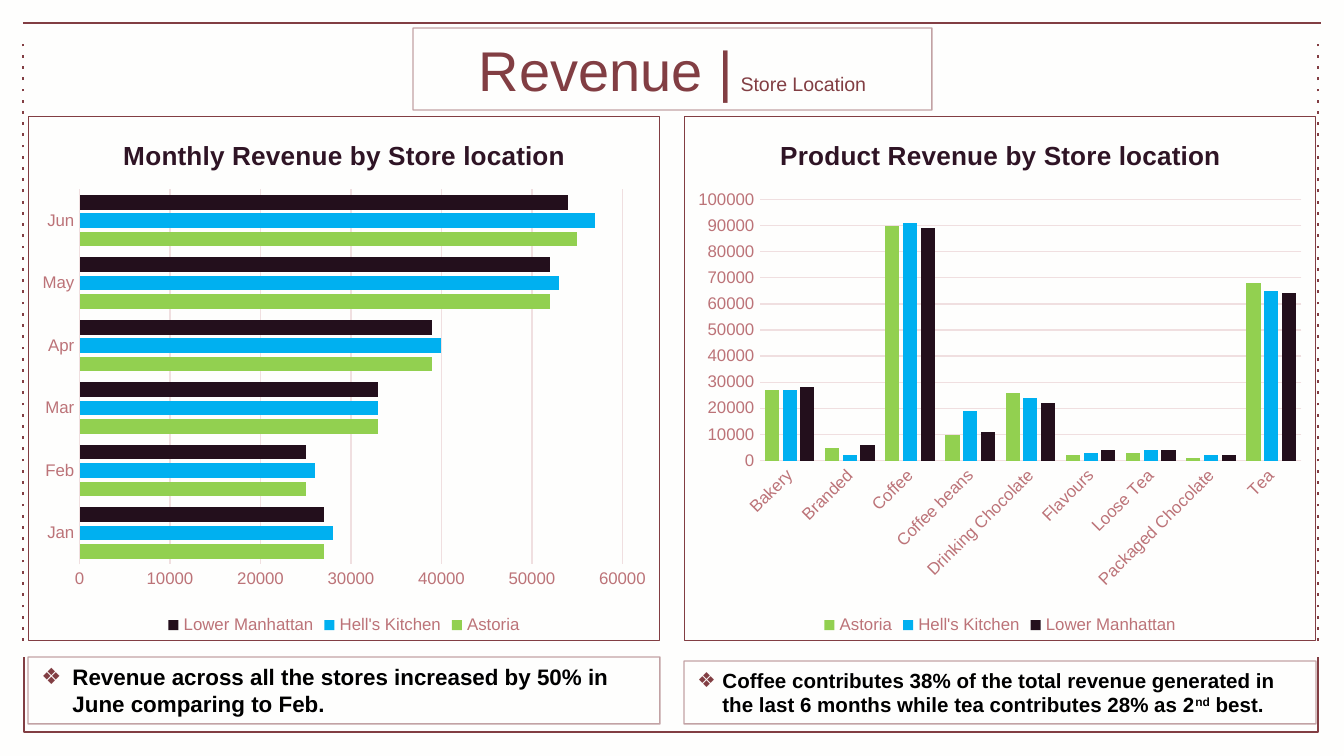
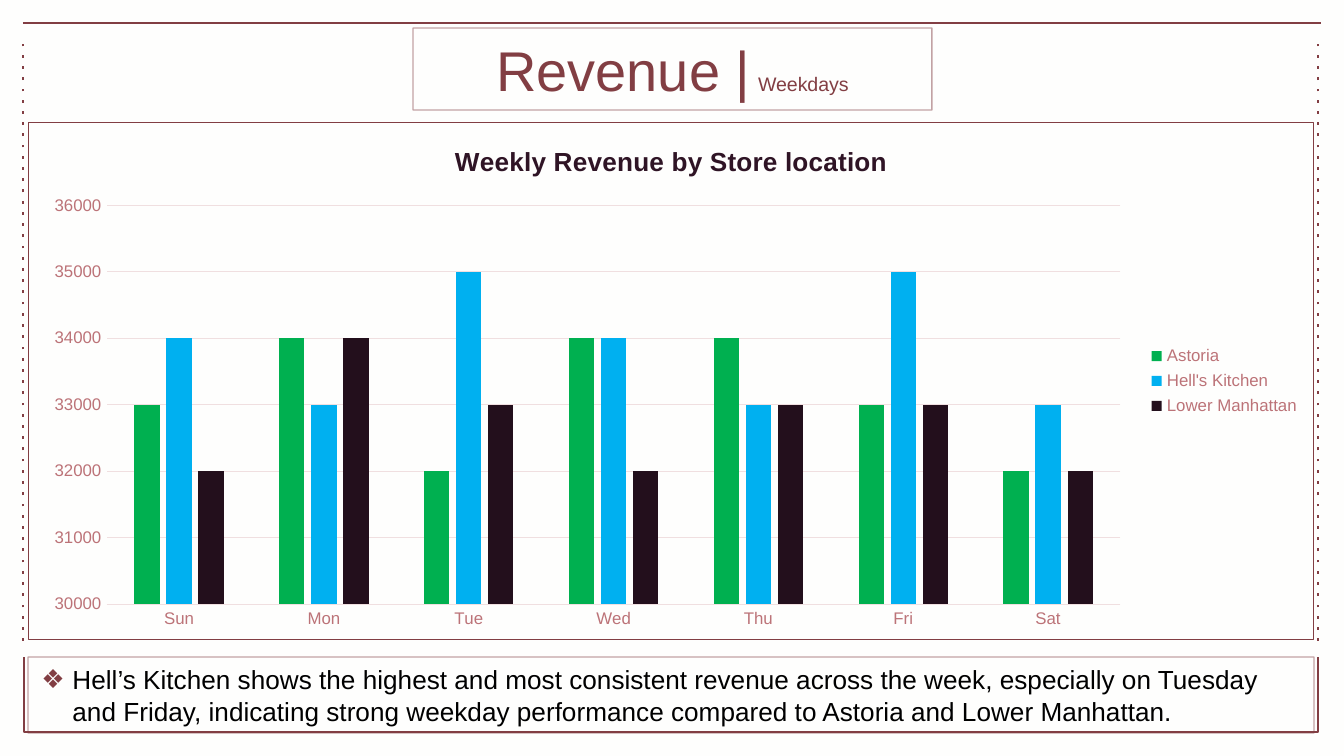
"""Builds two slides on store revenue by location and by weekday."""
from lxml import etree
from pptx import Presentation
from pptx import util as u
from pptx.chart.data import CategoryChartData
from pptx.dml.color import RGBColor
from pptx.enum import chart as charts, shapes, text
from pptx.oxml import parse_xml
from pptx.oxml.ns import nsdecls, qn

PX = 914400 / 134.4
WINE, ROSE, BLUSH, PLUM = "823E43", "BC7378", "F0DFE0", "2F1425"
CREAM, BLACK, FONT = "F9F0E8", "000000", "Arial"
LIME, GREEN, SKY, NIGHT = "92D050", "00B050", "00B0F0", "230F1C"
STORES = ["Astoria", "Hell's Kitchen", "Lower Manhattan"]
FRAME_LINES = [(23, 23, 1321, 23, False), (23, 641, 23, 40, True), (1318, 641, 1318, 40, True)]
BAR, COLUMN = charts.XL_CHART_TYPE.BAR_CLUSTERED, charts.XL_CHART_TYPE.COLUMN_CLUSTERED
BOTTOM, RIGHT = charts.XL_LEGEND_POSITION.BOTTOM, charts.XL_LEGEND_POSITION.RIGHT

SLIDES = [
    {
        "layout": 3,
        "subtitle": "Store Location",
        "notes": [
            {"box": (28, 657, 632, 67), "size": 12, "bold": True, "indent": 31,
             "runs": ["Revenue across all the stores increased by 50% in June comparing to Feb."]},
            {"box": (684, 661, 632, 63), "size": 11, "bold": True, "indent": 25,
             "runs": ["Coffee contributes 38% of the total revenue generated in the last 6 months "
                      "while tea contributes 28% as 2", "nd", " best."]},
        ],
        "charts": [
            {"title": "Monthly Revenue by Store location", "type": BAR,
             "box": (28, 116, 632, 525), "title_at": (118, 133), "plot": (79, 189, 544, 376),
             "scale": (0, 60000, 10000), "gap": 75, "overlap": -25, "legend": BOTTOM,
             "rotation": 0, "colors": [LIME, SKY, NIGHT],
             "categories": ["Jan", "Feb", "Mar", "Apr", "May", "Jun"],
             "values": [[27000, 25000, 33000, 39000, 52000, 55000],
                        [28000, 26000, 33000, 40000, 53000, 57000],
                        [27000, 25000, 33000, 39000, 52000, 54000]]},
            {"title": "Product Revenue by Store location", "type": COLUMN,
             "box": (684, 116, 632, 525), "title_at": (775, 133), "plot": (759, 199, 543, 262),
             "scale": (0, 100000, 10000), "gap": 75, "overlap": -25, "legend": BOTTOM,
             "rotation": -45, "colors": [LIME, SKY, NIGHT],
             "categories": ["Bakery", "Branded", "Coffee", "Coffee beans", "Drinking Chocolate",
                            "Flavours", "Loose Tea", "Packaged Chocolate", "Tea"],
             "values": [[27000, 5000, 90000, 10000, 26000, 2000, 3000, 1000, 68000],
                        [27000, 2000, 91000, 19000, 24000, 3000, 4000, 2000, 65000],
                        [28000, 6000, 89000, 11000, 22000, 4000, 4000, 2000, 64000]]},
        ],
    },
    {
        "layout": 1,
        "subtitle": "Weekdays",
        "notes": [
            {"box": (28, 657, 1286, 76), "size": 14, "bold": False, "indent": 31,
             "runs": ["Hell’s Kitchen shows the highest and most consistent revenue across the week, "
                      "especially on Tuesday and Friday, indicating strong weekday performance "
                      "compared to Astoria and Lower Manhattan."]},
        ],
        "charts": [
            {"title": "Weekly Revenue by Store location", "type": COLUMN,
             "box": (28, 122, 1286, 518), "title_at": (450, 139), "plot": (106, 205, 1015, 400),
             "scale": (30000, 36000, 1000), "gap": 219, "overlap": -27, "legend": RIGHT,
             "rotation": 0, "colors": [GREEN, SKY, NIGHT],
             "categories": ["Sun", "Mon", "Tue", "Wed", "Thu", "Fri", "Sat"],
             "values": [[33000, 34000, 32000, 34000, 34000, 33000, 32000],
                        [34000, 33000, 35000, 34000, 33000, 35000, 33000],
                        [32000, 34000, 33000, 32000, 33000, 33000, 32000]]},
        ],
    },
]


def px(*lengths):
    return [round(length * PX) for length in lengths]


def paint(fill, color):
    fill.solid()
    fill.fore_color.rgb = RGBColor.from_string(color)


presentation = Presentation()
presentation.slide_width, presentation.slide_height = px(1344, 756)

for content in SLIDES:
    slide = presentation.slides.add_slide(presentation.slide_layouts[content["layout"]])
    paint(slide.background.fill, CREAM)
    translucent = [(slide._element.cSld.bg, 5)]

    for *ends, dotted in FRAME_LINES:
        connector = slide.shapes.add_connector(shapes.MSO_CONNECTOR.STRAIGHT, *px(*ends))
        connector.line.width = u.Pt(1.5)
        paint(connector.line.fill, WINE)
        if dotted:
            etree.SubElement(connector.line._ln, qn("a:prstDash"), val="dot")
        etree.SubElement(connector._element.spPr, qn("a:effectLst"))
    builder = slide.shapes.build_freeform(24, 657, scale=PX)
    builder.add_line_segments([(24, 732), (1318, 732), (1318, 657)], close=False)
    bracket = builder.convert_to_shape()
    bracket.shadow.inherit = False
    bracket.fill.background()
    bracket.line.width = u.Pt(1.5)
    paint(bracket.line.fill, WINE)

    title, *bodies = slide.placeholders
    boxes = [(413, 28, 519, 82)] + [note["box"] for note in content["notes"]]
    for shape, box in zip([title, *bodies], boxes):
        shape.left, shape.top, shape.width, shape.height = px(*box)
        shape.line.width = u.Pt(0.75)
        paint(shape.line.fill, WINE)
        translucent.append((shape._element.spPr, 48 if shape is title else 47))
        shape.text_frame.word_wrap = True
        shape.text_frame.auto_size = text.MSO_AUTO_SIZE.NONE
        shape.text_frame.vertical_anchor = text.MSO_ANCHOR.MIDDLE
    for element, opacity in translucent:
        color = next(element.iter(qn("a:srgbClr")))
        etree.SubElement(color, qn("a:alpha"), val=str(opacity * 1000))

    paragraph = title.text_frame.paragraphs[0]
    paragraph.alignment = text.PP_ALIGN.CENTER
    paragraph.font.name = FONT
    paint(paragraph.font.fill, WINE)
    for words, size in [("Revenue |", 30), (" ", 15), (content["subtitle"], 10.5)]:
        run = paragraph.add_run()
        run.text = words
        run.font.size = u.Pt(size)

    for body, note in zip(bodies, content["notes"]):
        paragraph = body.text_frame.paragraphs[0]
        paragraph.space_before = u.Pt(0)
        properties = paragraph._p.get_or_add_pPr()
        indent, = px(note["indent"])
        properties.set("marL", str(indent))
        properties.set("indent", str(-indent))
        bullet_color = etree.SubElement(properties, qn("a:buClr"))
        etree.SubElement(bullet_color, qn("a:srgbClr"), val=WINE)
        etree.SubElement(properties, qn("a:buFont"), typeface=FONT)
        etree.SubElement(properties, qn("a:buChar"), char="❖")
        paragraph.font.name = FONT
        paragraph.font.size = u.Pt(note["size"])
        paragraph.font.bold = note["bold"]
        paint(paragraph.font.fill, BLACK)
        for words in note["runs"]:
            run = paragraph.add_run()
            run.text = words
            if words == "nd":
                run.font._element.set("baseline", "30000")

    for plan in content["charts"]:
        data = CategoryChartData()
        data.categories = plan["categories"]
        for store, values in zip(STORES, plan["values"]):
            data.add_series(store, values)
        chart = slide.shapes.add_chart(plan["type"], *px(*plan["box"]), data).chart
        chart.font.name = FONT
        chart.font.size = u.Pt(10)
        paint(chart.font.fill, WINE)
        chart._chartSpace.txPr.addprevious(parse_xml(
            f'<c:spPr {nsdecls("c", "a")}><a:noFill/><a:ln w="9525"><a:solidFill>'
            f'<a:srgbClr val="{WINE}"/></a:solidFill></a:ln></c:spPr>'))

        paragraph = chart.chart_title.text_frame.paragraphs[0]
        paragraph.add_run().text = plan["title"]
        paragraph.font.name = FONT
        paragraph.font.size = u.Pt(14)
        paragraph.font.bold = True
        paint(paragraph.font.fill, PLUM)

        plot = chart.plots[0]
        plot.vary_by_categories = False
        plot.gap_width = plan["gap"]
        plot.overlap = plan["overlap"]
        for series, color in zip(plot.series, plan["colors"]):
            paint(series.format.fill, color)
            series.invert_if_negative = False

        category_axis, value_axis = chart.category_axis, chart.value_axis
        value_axis.minimum_scale, value_axis.maximum_scale, value_axis.major_unit = plan["scale"]
        value_axis.format.line.fill.background()
        chart.has_legend = True
        chart.legend.position = plan["legend"]
        chart.legend.include_in_layout = False
        for axis in (category_axis, value_axis):
            axis.major_tick_mark = axis.minor_tick_mark = charts.XL_TICK_MARK.NONE
        for font in (category_axis.tick_labels.font, value_axis.tick_labels.font, chart.legend.font):
            font.name = FONT
            font.size = u.Pt(9)
            paint(font.fill, ROSE)
        for line in (category_axis.format.line, value_axis.major_gridlines.format.line):
            line.width = u.Pt(0.75)
            paint(line.fill, BLUSH)
        category_axis._element.txPr.bodyPr.set("rot", str(plan["rotation"] * 60000))

        left, top, width, height = plan["box"]
        plot_area = chart._chartSpace.chart.plotArea
        for parent, index, area in [(chart.chart_title._element, 1, plan["title_at"]),
                                    (plot_area, 0, plan["plot"])]:
            for old in parent.findall(qn("c:layout")):
                parent.remove(old)
            layout = etree.Element(qn("c:layout"))
            manual = etree.SubElement(layout, qn("c:manualLayout"))
            if parent is plot_area:
                etree.SubElement(manual, qn("c:layoutTarget"), val="inner")
            for mode in ("xMode", "yMode"):
                etree.SubElement(manual, qn(f"c:{mode}"), val="edge")
            shares = [(area[0] - left) / width, (area[1] - top) / height]
            shares += [length / full for length, full in zip(area[2:], (width, height))]
            for key, share in zip("xywh", shares):
                etree.SubElement(manual, qn(f"c:{key}"), val=f"{share:.4f}")
            parent.insert(index, layout)

presentation.save("out.pptx")
